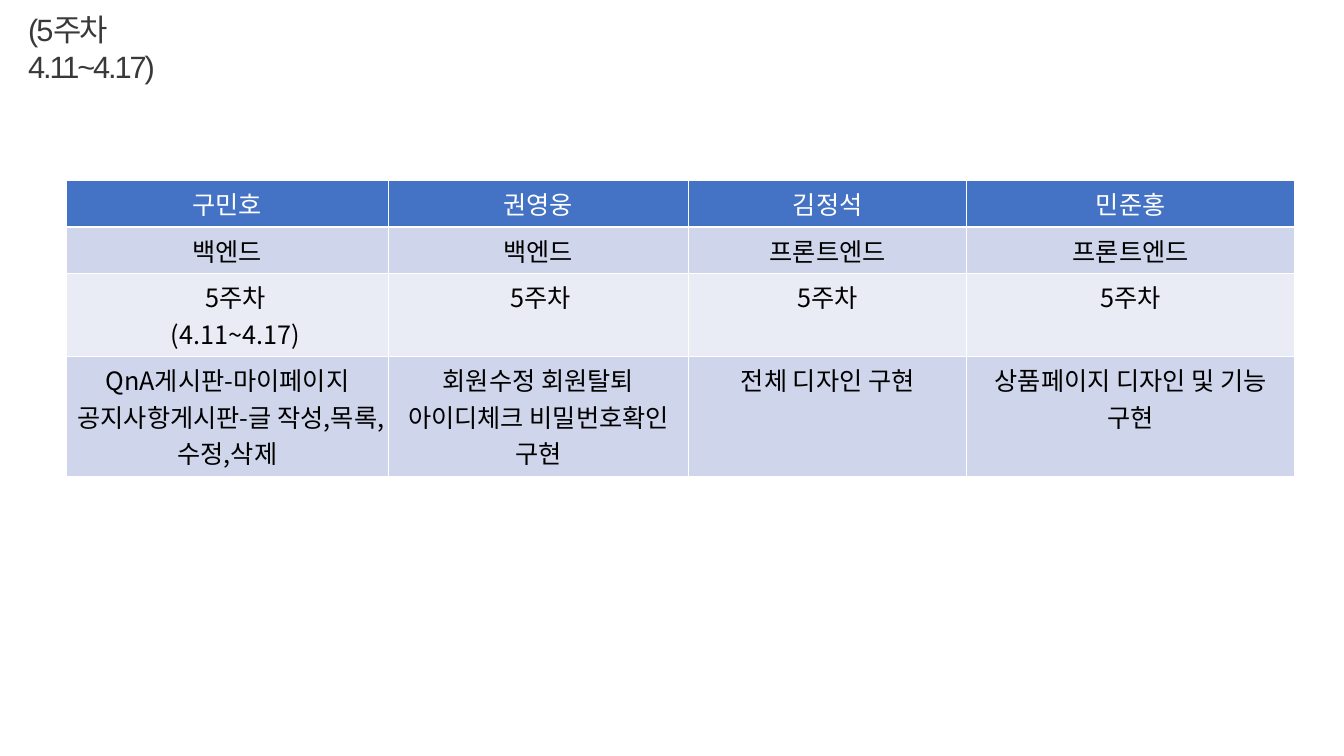
from dataclasses import dataclass

from pptx import Presentation
from pptx.dml.color import RGBColor
from pptx.enum.text import MSO_ANCHOR, PP_ALIGN
from pptx.oxml.ns import qn
from pptx.util import Inches, Pt

# Content
TITLE = "(5주차\v4.11~4.17)"
ROWS = [
    ["구민호", "권영웅", "김정석", "민준홍"],
    ["백엔드", "백엔드", "프론트엔드", "프론트엔드"],
    ["5주차\n(4.11~4.17)", "5주차", "5주차", "5주차"],
    ["QnA게시판-마이페이지\n공지사항게시판-글 작성,목록,수정,삭제",
     "회원수정 회원탈퇴 아이디체크 비밀번호확인 구현",
     "전체 디자인 구현",
     "상품페이지 디자인 및 기능 구현"],
]
COL_WIDTHS = [3.19, 2.98, 2.76, 3.25]
ROW_HEIGHTS = [0.46, 0.46, 0.82, 1.19]
INDENTS = {(2, 0): 0.16, (2, 1): 0.05}  # extra left margin of the week cells


@dataclass(frozen=True)
class Theme:
    title_font: str = "Arial"
    table_font: str = "Noto Sans CJK KR"
    title_size: int = 22
    table_size: int = 18
    title_color: str = "3B3838"
    header_fill: str = "4472C4"
    header_text: str = "FFFFFF"
    body_text: str = "000000"
    bands: tuple = ("E9EBF5", "CFD5EA")


THEME = Theme()


def style_font(font, name, size, color):
    font.name = name
    font.size = Pt(size)
    font.bold = False
    font.color.rgb = RGBColor.from_string(color)


def add_title(slide):
    sp = slide.shapes.title
    sp.left, sp.top, sp.width, sp.height = map(Inches, (0.18, 0.06, 2.43, 0.47))
    tf = sp.text_frame
    tf.text = TITLE
    tf.word_wrap = True
    tf.vertical_anchor = MSO_ANCHOR.TOP
    p = tf.paragraphs[0]
    p.alignment = PP_ALIGN.LEFT
    style_font(p.font, THEME.title_font, THEME.title_size, THEME.title_color)
    for r in p.runs:
        r.font._element.set("spc", "-150")  # tight letter spacing


def fill_cell(cell, text, fill, color):
    cell.fill.solid()
    cell.fill.fore_color.rgb = RGBColor.from_string(fill)
    cell.text = text
    for p in cell.text_frame.paragraphs:
        p.alignment = PP_ALIGN.CENTER
        style_font(p.font, THEME.table_font, THEME.table_size, color)
        for r in p.runs:
            east_asian = r.font._element.makeelement(qn("a:ea"), {"typeface": THEME.table_font})
            r.font._element.append(east_asian)


def add_schedule(slide):
    table = slide.shapes.add_table(
        len(ROWS), len(COL_WIDTHS), Inches(0.66), Inches(1.79),
        Inches(sum(COL_WIDTHS)), Inches(sum(ROW_HEIGHTS))).table
    for column, width in zip(table.columns, COL_WIDTHS):
        column.width = Inches(width)
    for row, height in zip(table.rows, ROW_HEIGHTS):
        row.height = Inches(height)

    for i, texts in enumerate(ROWS):
        fill = THEME.bands[i % 2] if i else THEME.header_fill
        color = THEME.body_text if i else THEME.header_text
        for j, text in enumerate(texts):
            cell = table.cell(i, j)
            fill_cell(cell, text, fill, color)
            cell.margin_left = Inches(0.1 + INDENTS.get((i, j), 0))


def main():
    prs = Presentation()
    prs.slide_width, prs.slide_height = Inches(13.33), Inches(7.5)
    slide = prs.slides.add_slide(prs.slide_layouts[5])
    add_schedule(slide)
    add_title(slide)
    prs.save("out.pptx")


if __name__ == "__main__":
    main()
